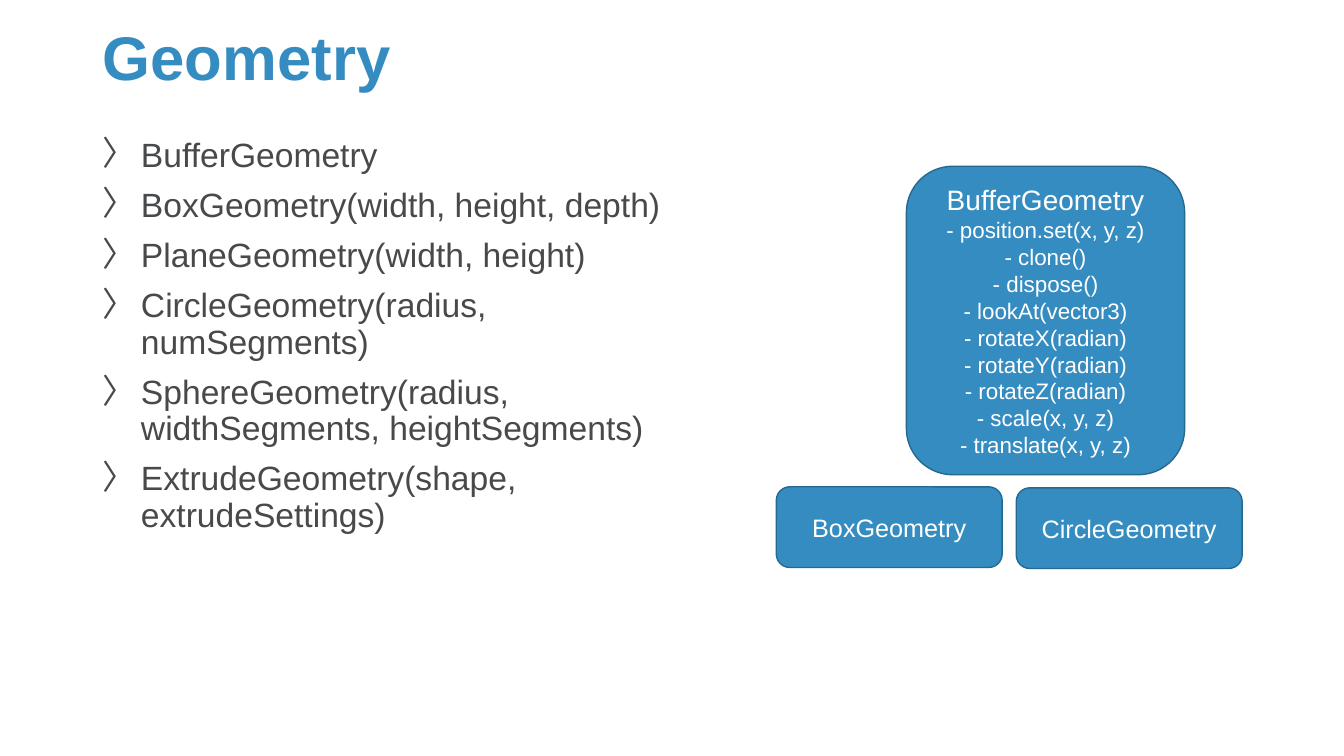
import pptx
import pptx.util
import pptx.dml.color
import pptx.enum.shapes
import pptx.enum.text
import pptx.oxml.ns
from dataclasses import dataclass
from lxml import etree

Inches = pptx.util.Inches
Pt = pptx.util.Pt
Align = pptx.enum.text.PP_ALIGN
Anchor = pptx.enum.text.MSO_ANCHOR


@dataclass(frozen=True)
class Theme:
    font: str = "Arial"
    accent: str = "358CC1"
    outline: str = "27688F"
    body: str = "47494B"
    light: str = "FFFFFF"
    title_size: int = 44
    bullet_size: int = 24
    class_size: int = 20
    label_size: int = 18
    method_size: int = 16
    indent: float = 0.38


class SlideBuilder:
    def __init__(self, deck, theme):
        self.theme = theme
        self.page = deck.slides.add_slide(deck.slide_layouts[5])

    def add_span(self, para, text, size, color, bold=False, **layout):
        """Put one styled span in a paragraph and apply its layout values."""
        for name, value in layout.items():
            setattr(para, name, value)
        span = para.add_run()
        span.text = text
        values = {"name": self.theme.font, "size": Pt(size), "bold": bold}
        for name, value in values.items():
            setattr(span.font, name, value)
        span.font.color.rgb = pptx.dml.color.RGBColor.from_string(color)

    def paragraphs(self, frame, count):
        return [frame.paragraphs[0]] + [frame.add_paragraph() for _ in range(count - 1)]

    def title(self, text, place):
        box = self.page.shapes.title
        box.left, box.top, box.width, box.height = map(Inches, place)
        frame = box.text_frame
        frame.word_wrap = True
        frame.vertical_anchor = Anchor.MIDDLE
        self.add_span(frame.paragraphs[0], text, self.theme.title_size, self.theme.accent,
                      bold=True, alignment=Align.LEFT, line_spacing=0.9)

    def bullets(self, items, place):
        frame = self.page.shapes.add_textbox(*map(Inches, place)).text_frame
        frame.word_wrap = True
        indent = Inches(self.theme.indent)
        for index, (para, item) in enumerate(zip(self.paragraphs(frame, len(items)), items)):
            properties = para._p.get_or_add_pPr()
            properties.set("marL", str(indent))
            properties.set("indent", str(-indent))
            for tag, key, value in (("a:buFont", "typeface", self.theme.font),
                                    ("a:buChar", "char", "〉")):
                etree.SubElement(properties, pptx.oxml.ns.qn(tag)).set(key, value)
            self.add_span(para, item, self.theme.bullet_size, self.theme.body,
                          line_spacing=0.9, space_before=Pt(10 if index else 0))

    def class_box(self, name, size, place, methods=()):
        rounded = pptx.enum.shapes.MSO_SHAPE.ROUNDED_RECTANGLE
        box = self.page.shapes.add_shape(rounded, *map(Inches, place))
        box.shadow.inherit = False
        box.fill.solid()
        box.line.width = Pt(1)
        for target, color in ((box.fill.fore_color, self.theme.accent),
                              (box.line.color, self.theme.outline)):
            target.rgb = pptx.dml.color.RGBColor.from_string(color)
        frame = box.text_frame
        frame.word_wrap = True
        frame.vertical_anchor = Anchor.MIDDLE
        lines = [(name, size)] + [(f"- {method}", self.theme.method_size) for method in methods]
        for para, (text, text_size) in zip(self.paragraphs(frame, len(lines)), lines):
            self.add_span(para, text, text_size, self.theme.light, alignment=Align.CENTER)


def main():
    deck = pptx.Presentation()
    deck.slide_width, deck.slide_height = Inches(13.33), Inches(7.5)
    theme = Theme()
    slide = SlideBuilder(deck, theme)

    # Title and list of geometry constructors
    slide.title("Geometry", (0.92, 0.2, 11.5, 0.8))
    slide.bullets([
        "BufferGeometry",
        "BoxGeometry(width, height, depth)",
        "PlaneGeometry(width, height)",
        "CircleGeometry(radius, numSegments)",
        "SphereGeometry(radius, widthSegments, heightSegments)",
        "ExtrudeGeometry(shape, extrudeSettings)",
    ], (0.92, 1.32, 5.92, 4.97))

    # Base class with its methods
    slide.class_box("BufferGeometry", theme.class_size, (8.99, 1.65, 2.76, 3.06), [
        "position.set(x, y, z)", "clone()", "dispose()", "lookAt(vector3)",
        *(f"rotate{axis}(radian)" for axis in "XYZ"),
        "scale(x, y, z)", "translate(x, y, z)",
    ])

    # Derived classes
    for name, left, top in (("BoxGeometry", 7.7, 4.83), ("CircleGeometry", 10.08, 4.84)):
        slide.class_box(name, theme.label_size, (left, top, 2.24, 0.8))

    deck.save("out.pptx")


if __name__ == "__main__":
    main()
